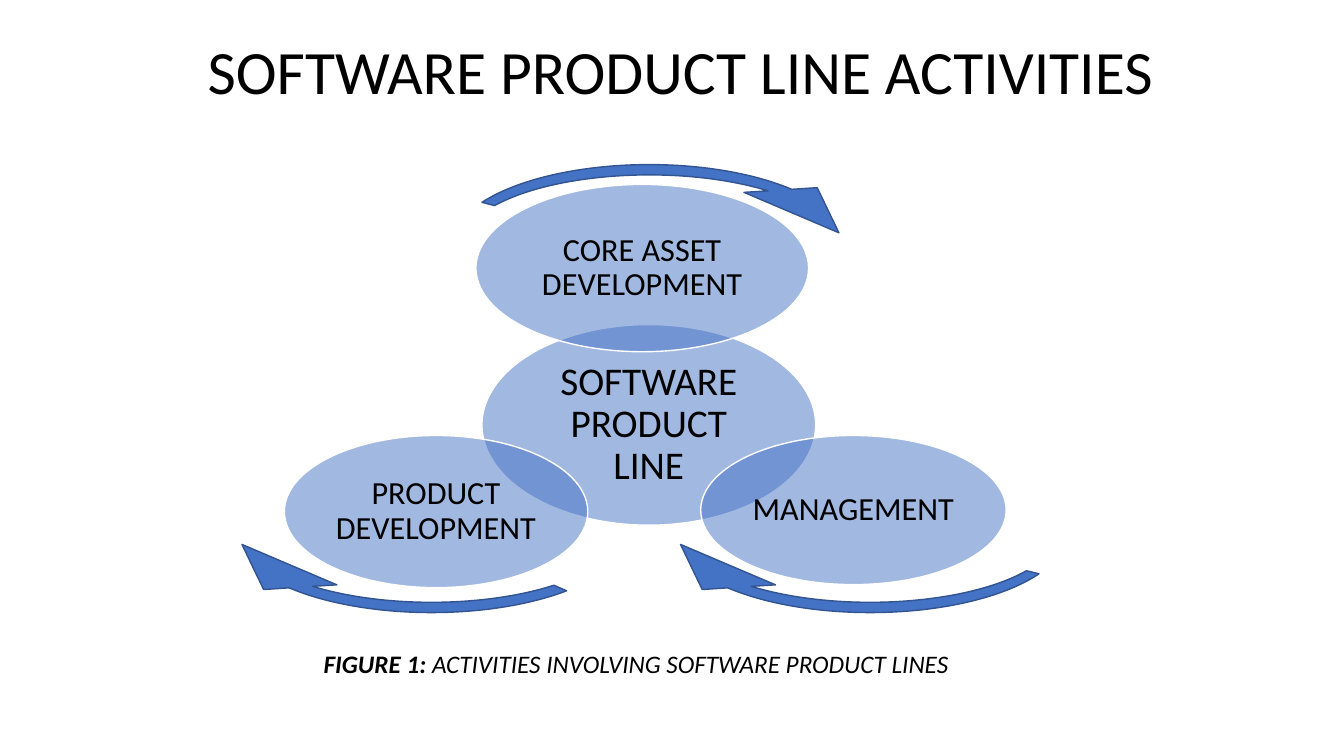
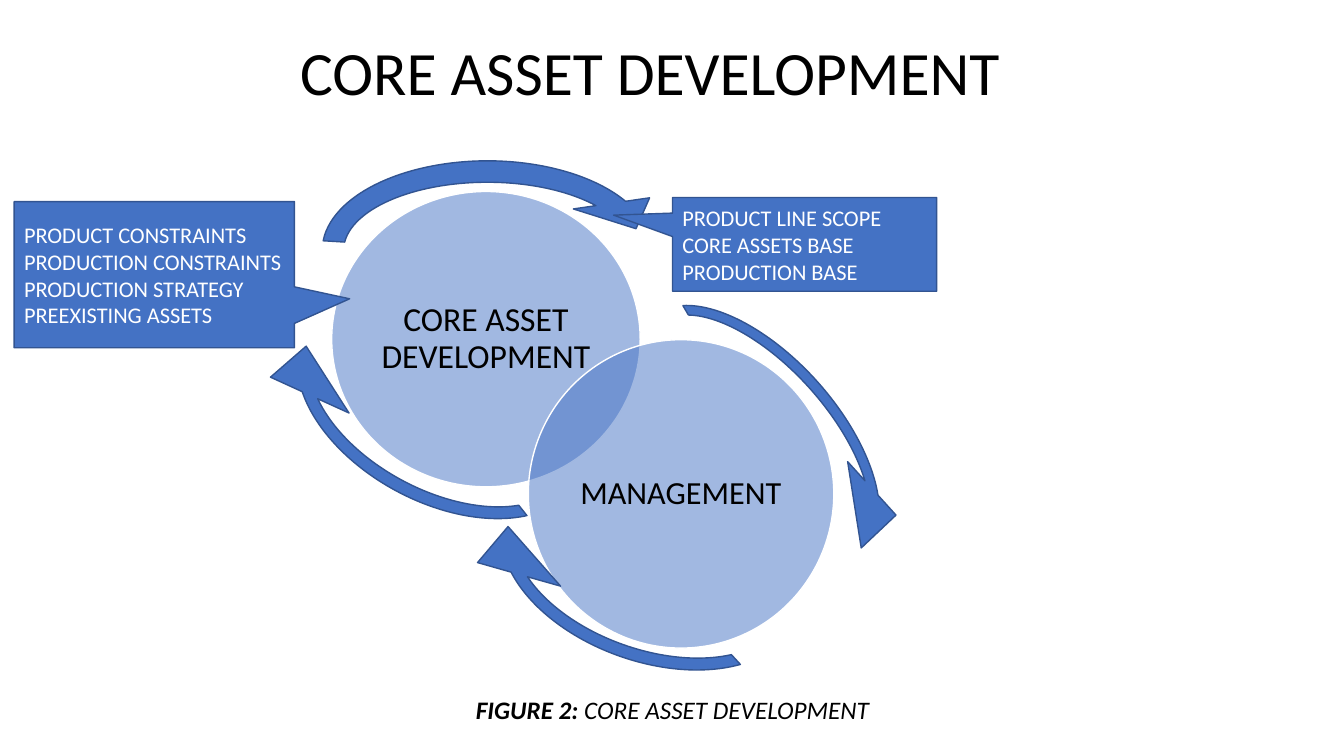
from pptx import Presentation
from pptx.dml.color import RGBColor
from pptx.enum.shapes import MSO_SHAPE
from pptx.enum.text import MSO_ANCHOR, PP_ALIGN
from pptx.oxml.ns import qn
from pptx.util import Inches, Pt

BLUE = RGBColor(0x44, 0x72, 0xC4)
DARK_BLUE = RGBColor(0x32, 0x54, 0x91)
BLACK = RGBColor(0, 0, 0)
WHITE = RGBColor(255, 255, 255)
FONT = "Calibri"

ELLIPSE = MSO_SHAPE.OVAL
ARROW = MSO_SHAPE.CIRCULAR_ARROW
CALLOUT = MSO_SHAPE.RECTANGULAR_CALLOUT
MIDDLE = MSO_ANCHOR.MIDDLE
LEFT, CENTER, JUSTIFY = PP_ALIGN.LEFT, PP_ALIGN.CENTER, PP_ALIGN.JUSTIFY

TITLE_ONLY = 5
THIN_ARROW = (0.046, 11.423, 202.379)


# Shared helpers
def inches(box):
    return [Inches(length) for length in box]


def inside(area, box):
    """Shift a box by the left top corner of its area."""
    return (area[0] + box[0], area[1] + box[1], *box[2:])


def set_all(target, values):
    for name, value in values.items():
        setattr(target, name, value)


def add_span(para, text, size, color=BLACK, **style):
    span = para.add_run()
    span.text = text
    set_all(span.font, {"name": FONT, "size": Pt(size), **style})
    span.font.color.rgb = color


def frame_text(frame, inset_x=0.1, inset_y=0.05):
    set_all(frame, {
        "word_wrap": True, "vertical_anchor": MIDDLE,
        "margin_left": Inches(inset_x), "margin_right": Inches(inset_x),
        "margin_top": Inches(inset_y), "margin_bottom": Inches(inset_y),
    })


def add_filled(page, kind, box, line_color=DARK_BLUE):
    shape = page.shapes.add_shape(kind, *inches(box))
    shape.shadow.inherit = False
    shape.fill.solid()
    shape.fill.fore_color.rgb = BLUE
    shape.line.color.rgb = line_color
    shape.line.width = Pt(1)
    return shape


def adjust(shape, values):
    for index, value in enumerate(values):
        shape.adjustments[index] = value


# Title and caption
def add_title(page, box, text, align, line_spacing):
    title = page.shapes.title
    set_all(title, dict(zip(("left", "top", "width", "height"), inches(box))))
    frame_text(title.text_frame)
    para = title.text_frame.paragraphs[0]
    set_all(para, {"alignment": align, "line_spacing": line_spacing})
    add_span(para, text, 44)


def add_caption(page, box, label, text):
    caption = page.shapes.add_textbox(*inches(box))
    frame_text(caption.text_frame)
    para = caption.text_frame.paragraphs[0]
    para.alignment = CENTER
    add_span(para, label, 18, bold=True, italic=True)
    add_span(para, " " + text, 18, bold=False, italic=True)


# Parts of the diagrams
def add_ellipse(page, box, text, size):
    ellipse = add_filled(page, ELLIPSE, box, WHITE)
    color = ellipse.fill._xPr.find(qn("a:solidFill"))[0]
    color.makeelement(qn("a:alpha"), {})
    alpha = color.makeelement(qn("a:alpha"), {"val": "50000"})
    color.append(alpha)
    frame_text(ellipse.text_frame, 0.03, 0.03)
    para = ellipse.text_frame.paragraphs[0]
    set_all(para, {"alignment": CENTER, "line_spacing": 0.9})
    add_span(para, text, size)


def add_arrow(page, box, rotation, adjustments):
    arrow = add_filled(page, ARROW, box)
    arrow.rotation = rotation
    adjust(arrow, adjustments)


def add_callout(page, box, pointer, lines):
    callout = add_filled(page, CALLOUT, box)
    adjust(callout, pointer)
    frame = callout.text_frame
    frame_text(frame)
    for index, line in enumerate(lines):
        para = frame.add_paragraph() if index else frame.paragraphs[0]
        para.alignment = JUSTIFY
        add_span(para, line, 16, WHITE)


def add_cycle(page, area, ellipses, arrows):
    for box, text, size in ellipses:
        add_ellipse(page, inside(area, box), text, size)
    for box, rotation, adjustments in arrows:
        add_arrow(page, inside(area, box), rotation, adjustments)


def add_callouts(page, area, callouts):
    for box, pointer, lines in callouts:
        add_callout(page, inside(area, box), pointer, lines)


# Slide types
def activities_slide(page):
    add_title(page, (1.96, 0.27, 11, 0.84),
              "SOFTWARE PRODUCT LINE ACTIVITIES", LEFT, 1.0)
    arrow_size = (4.54, 2.22)
    ellipses = [
        ((2.77, 1.9, 3.31, 1.99), "SOFTWARE PRODUCT LINE", 28),
        ((2.71, 0.51, 3.3, 1.66), "CORE ASSET DEVELOPMENT", 23),
        ((4.94, 3, 3.03, 1.48), "MANAGEMENT", 23),
        ((0.81, 3, 3.01, 1.51), "PRODUCT DEVELOPMENT", 23),
    ]
    arrows = [
        ((left, top, *arrow_size), rotation, (*THIN_ARROW, start, 0.164))
        for left, top, rotation, start in (
            (0, 2.85, 180, 122.061),
            (2.16, 0, 0, 116.565),
            (4.35, 2.85, 180, 116.296),
        )
    ]
    add_cycle(page, (2.01, 1.32), ellipses, arrows)
    add_caption(page, (2.84, 6.38, 6.94, 0.4), "FIGURE 1:",
                "ACTIVITIES INVOLVING SOFTWARE PRODUCT LINES")


def core_asset_slide(page):
    add_title(page, (0.7, 0.02, 11.5, 1.45),
              "CORE ASSET DEVELOPMENT", CENTER, 0.9)
    ellipses = [
        ((0.82, 0.58, 3.06, 2.93), "CORE ASSET DEVELOPMENT", 24),
        ((2.77, 2.05, 3.03, 3.06), "MANAGEMENT", 23),
    ]
    arrows = [
        ((0.45, 0, 3.83, 2.33), 0, (0.091, 7.476, 203.53, 110.017, 0.164)),
        ((0, 1.42, 3.81, 2.61), 208.2, (*THIN_ARROW, 121.96, 0.164)),
        ((3.18, 1.9, 3.75, 2.18), 48.2,
         (0.046, 13.455, 202.379, 114.803, 0.164)),
        ((2.08, 3, 3.81, 2.61), 199.5, (*THIN_ARROW, 124.745, 0.164)),
    ]
    add_cycle(page, (2.47, 1.32), ellipses, arrows)
    add_callouts(page, (0.14, 1.96), [
        ((0, 0.04, 2.78, 1.45), (0.697, 0.165),
         ("PRODUCT CONSTRAINTS", "PRODUCTION CONSTRAINTS",
          "PRODUCTION STRATEGY", "PREEXISTING ASSETS")),
        ((6.53, 0, 2.62, 0.93), (-0.723, -0.312),
         ("PRODUCT LINE SCOPE", "CORE ASSETS BASE", "PRODUCTION BASE")),
    ])
    add_caption(page, (3.2, 6.84, 6.94, 0.4), "FIGURE 2:",
                "CORE ASSET DEVELOPMENT")


deck = Presentation()
deck.slide_width, deck.slide_height = Inches(13.33), Inches(7.5)
for build in (activities_slide, core_asset_slide):
    build(deck.slides.add_slide(deck.slide_layouts[TITLE_ONLY]))
deck.save("out.pptx")
